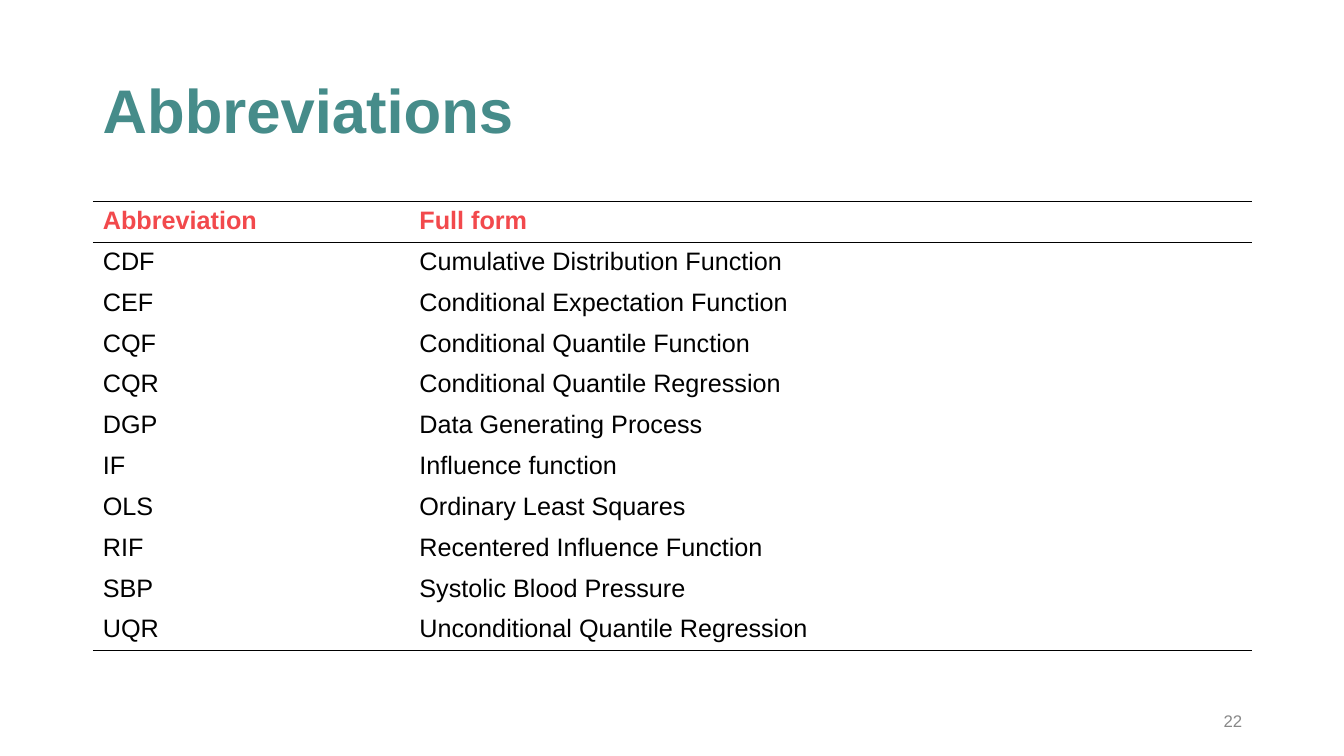
"""Build the Abbreviations slide: a title, a ruled two-column table and a page number."""
import lxml.etree
import pptx
import pptx.dml.color
import pptx.enum.text
import pptx.oxml.ns
import pptx.util
from pptx.util import Inches

THEME = {
    "font": "Arial",
    "title": "468C8A", "header": "F2494C", "text": "000000",
    "rule": "000000", "number": "888888",
    "title_size": 44, "table_size": 18, "number_size": 12, "rule_width": 1,
}
ROWS = [
    ("Abbreviation", "Full form"),
    ("CDF", "Cumulative Distribution Function"),
    ("CEF", "Conditional Expectation Function"),
    ("CQF", "Conditional Quantile Function"),
    ("CQR", "Conditional Quantile Regression"),
    ("DGP", "Data Generating Process"),
    ("IF", "Influence function"),
    ("OLS", "Ordinary Least Squares"),
    ("RIF", "Recentered Influence Function"),
    ("SBP", "Systolic Blood Pressure"),
    ("UQR", "Unconditional Quantile Regression"),
]
RULED_EDGES = {0, 1, len(ROWS)}


def write(tf, text, size, color, bold=False, align="LEFT", spacing=1.0):
    """Put formatted text in the first paragraph of a text frame."""
    tf.word_wrap = True
    p = tf.paragraphs[0]
    p.alignment = pptx.enum.text.PP_ALIGN[align]
    p.line_spacing = spacing
    r = p.add_run()
    r.text = text
    r.font.name = THEME["font"]
    r.font.size = pptx.util.Pt(THEME[size])
    r.font.bold = bold
    r.font.color.rgb = pptx.dml.color.RGBColor.from_string(THEME[color])


def add_border(cell, side, ruled):
    """Add a rule, or an empty border, to one side of a cell."""
    qn = pptx.oxml.ns.qn
    ln = lxml.etree.SubElement(cell._tc.get_or_add_tcPr(), qn("a:ln" + side))
    ln.set("w", str(pptx.util.Pt(THEME["rule_width"])))
    if ruled:
        fill = lxml.etree.SubElement(ln, qn("a:solidFill"))
        lxml.etree.SubElement(fill, qn("a:srgbClr")).set("val", THEME["rule"])
    else:
        lxml.etree.SubElement(ln, qn("a:noFill"))


prs = pptx.Presentation()
prs.slide_width, prs.slide_height = Inches(13.33), Inches(7.5)
s = prs.slides.add_slide(prs.slide_layouts[6])

title = s.shapes.add_textbox(Inches(0.92), Inches(0.4), Inches(11.5), Inches(1.45))
title.text_frame.vertical_anchor = pptx.enum.text.MSO_ANCHOR.MIDDLE
write(title.text_frame, "Abbreviations", "title_size", "title", bold=True, spacing=0.9)

table = s.shapes.add_table(len(ROWS), 2, Inches(0.92), Inches(2),
                           Inches(11.5), Inches(4.46)).table
table.first_row = table.horz_banding = False
table.columns[0].width, table.columns[1].width = Inches(3.14), Inches(8.36)
for i, row in enumerate(ROWS):
    for j, text in enumerate(row):
        cell = table.cell(i, j)
        write(cell.text_frame, text, "table_size", "text" if i else "header", bold=i == 0)
        for side, ruled in (("L", False), ("R", False),
                            ("T", i in RULED_EDGES), ("B", i + 1 in RULED_EDGES)):
            add_border(cell, side, ruled)
        cell.fill.background()

number = s.shapes.add_textbox(Inches(9.42), Inches(6.95), Inches(3), Inches(0.4))
number.text_frame.vertical_anchor = pptx.enum.text.MSO_ANCHOR.MIDDLE
write(number.text_frame, "22", "number_size", "number", align="RIGHT")

prs.save("out.pptx")
